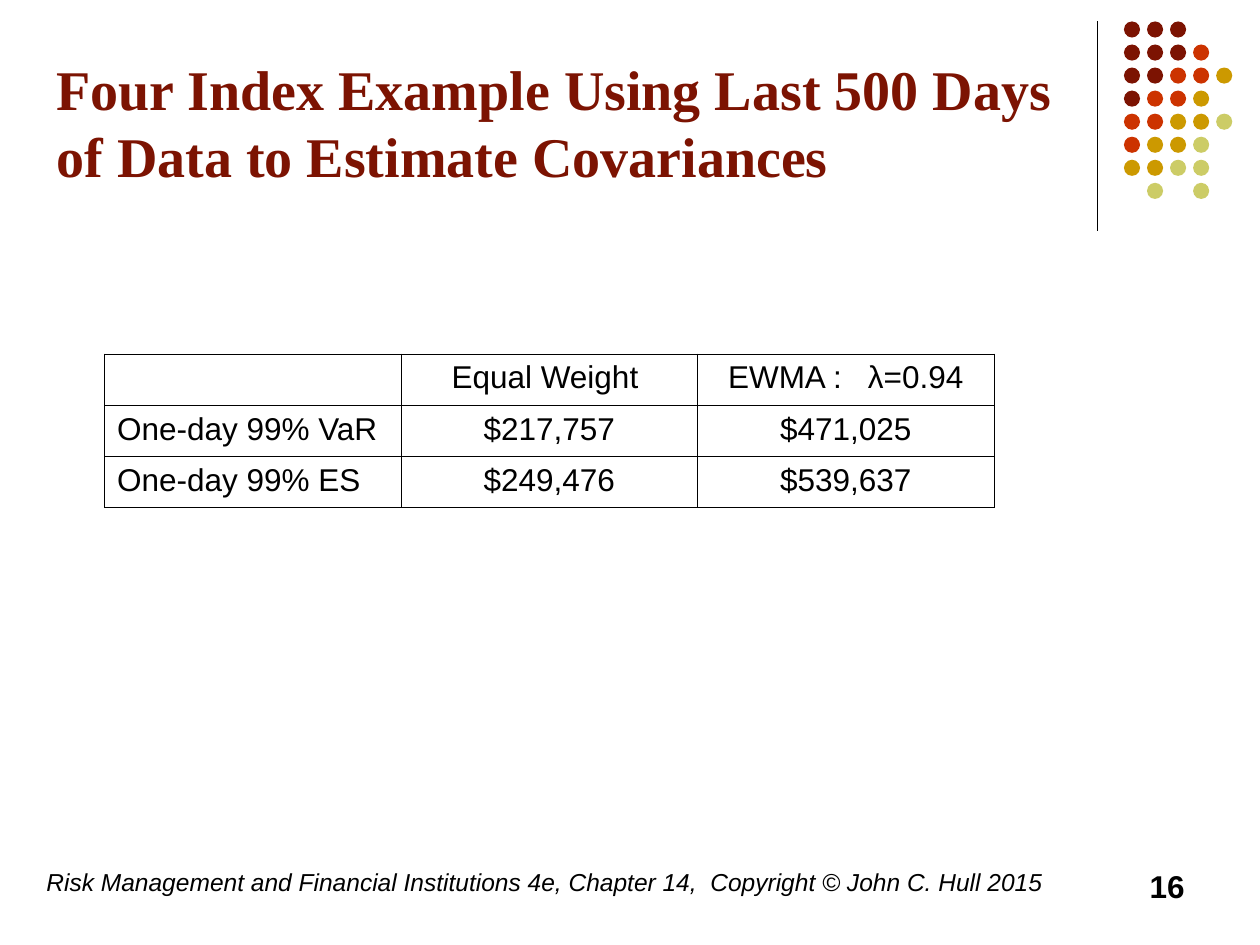
from dataclasses import dataclass

from lxml.etree import SubElement
from pptx import Presentation
from pptx.dml.color import RGBColor
from pptx.enum.shapes import MSO_CONNECTOR, MSO_SHAPE
from pptx.enum.text import MSO_ANCHOR, PP_ALIGN
from pptx.oxml.ns import qn
from pptx.slide import Slide
from pptx.table import _Cell
from pptx.util import Inches, Length, Pt

MAROON = RGBColor(0x7C, 0x13, 0x02)
RED = RGBColor(0xCC, 0x33, 0x00)
GOLD = RGBColor(0xCC, 0x99, 0x00)
OLIVE = RGBColor(0xCC, 0xCC, 0x66)
BLACK = RGBColor(0x00, 0x00, 0x00)

SLIDE_COLUMNS, SLIDE_ROWS = 100, 75
UNIT = Inches(0.1)

DOT_COLORS = {"M": MAROON, "R": RED, "G": GOLD, "O": OLIVE}
DOT_ROWS = ["MMM", "MMMR", "MMRRG", "MRRG", "RRGGO", "RGGO", "GGOO", " O O"]
DOT_LEFT, DOT_TOP, DOT_PITCH, DOT_SIZE = 89.2, 1.7, 1.83, 1.28

TABLE_ROWS = [
    ["", "Equal Weight ", "EWMA :   λ=0.94"],
    ["One-day 99% VaR", "$217,757", "$471,025"],
    ["One-day 99% ES", "$249,476", "$539,637"],
]
TABLE_FORMAT = {"name": "Arial", "size": Pt(18), "bold": False}


@dataclass(frozen=True)
class TextBlock:
    text: str
    column: float
    row: float
    columns: float
    rows: float
    font: dict
    color: RGBColor = BLACK
    alignment: PP_ALIGN = PP_ALIGN.LEFT
    anchor: MSO_ANCHOR = MSO_ANCHOR.TOP


TEXT_BLOCKS = [
    TextBlock(
        "Four Index Example Using Last 500 Days of Data to Estimate Covariances",
        3.5, 1.3, 82.7, 14.2,
        {"name": "Times New Roman", "size": Pt(32), "bold": True},
        color=MAROON,
        anchor=MSO_ANCHOR.BOTTOM,
    ),
    TextBlock(
        "Risk Management and Financial Institutions 4e, Chapter 14,  "
        "Copyright © John C. Hull 2015",
        2.7, 68.3, 82.7, 5,
        {"name": "Arial", "size": Pt(14), "italic": True},
    ),
    TextBlock(
        "16", 71.7, 68.3, 23.3, 5,
        {"name": "Arial", "size": Pt(18), "bold": True},
        alignment=PP_ALIGN.RIGHT,
    ),
]


def grid(count: float) -> Length:
    return Length(round(count * UNIT))


def format_font(font, values: dict, color: RGBColor) -> None:
    for name, value in values.items():
        setattr(font, name, value)
    font.color.rgb = color


def draw_divider(slide: Slide) -> None:
    connector = slide.shapes.add_connector(
        MSO_CONNECTOR.STRAIGHT, grid(87.1), grid(1.7), grid(87.1), grid(18.3)
    )
    connector.line.color.rgb = BLACK
    connector.line.width = Pt(0.75)
    SubElement(connector._element.spPr, qn("a:effectLst"))


def draw_dots(slide: Slide) -> None:
    group = slide.shapes.add_group_shape()
    for row, keys in enumerate(DOT_ROWS):
        for column, key in enumerate(keys):
            if key not in DOT_COLORS:
                continue
            dot = group.shapes.add_shape(
                MSO_SHAPE.OVAL,
                grid(DOT_LEFT + column * DOT_PITCH),
                grid(DOT_TOP + row * DOT_PITCH),
                grid(DOT_SIZE),
                grid(DOT_SIZE),
            )
            dot.shadow.inherit = False
            dot.fill.solid()
            dot.fill.fore_color.rgb = DOT_COLORS[key]
            dot.line.fill.background()


def draw_text(slide: Slide, block: TextBlock) -> None:
    shape = slide.shapes.add_textbox(
        grid(block.column), grid(block.row), grid(block.columns), grid(block.rows)
    )
    frame = shape.text_frame
    frame.word_wrap = True
    frame.vertical_anchor = block.anchor
    paragraph = frame.paragraphs[0]
    paragraph.text = block.text
    paragraph.alignment = block.alignment
    format_font(paragraph.font, block.font, block.color)


def draw_borders(cell: _Cell) -> None:
    properties = cell._tc.get_or_add_tcPr()
    for position, side in enumerate(("a:lnL", "a:lnR", "a:lnT", "a:lnB")):
        line = properties.makeelement(qn(side), {"w": str(Pt(0.45))})
        fill = SubElement(line, qn("a:solidFill"))
        SubElement(fill, qn("a:srgbClr"), val=str(BLACK))
        properties.insert(position, line)


def draw_table(slide: Slide) -> None:
    table = slide.shapes.add_table(
        len(TABLE_ROWS), len(TABLE_ROWS[0]),
        grid(8.3), grid(28.1), grid(70.6), grid(12.2),
    ).table
    table.first_row = False
    table.horz_banding = False
    for row, texts in enumerate(TABLE_ROWS):
        for column, text in enumerate(texts):
            cell = table.cell(row, column)
            cell.fill.background()
            draw_borders(cell)
            paragraph = cell.text_frame.paragraphs[0]
            paragraph.text = text
            paragraph.alignment = PP_ALIGN.CENTER if column else PP_ALIGN.LEFT
            format_font(paragraph.font, TABLE_FORMAT, BLACK)


def main() -> None:
    presentation = Presentation()
    presentation.slide_width = grid(SLIDE_COLUMNS)
    presentation.slide_height = grid(SLIDE_ROWS)
    slide = presentation.slides.add_slide(presentation.slide_layouts[6])
    draw_divider(slide)
    draw_dots(slide)
    for block in TEXT_BLOCKS:
        draw_text(slide, block)
    draw_table(slide)
    presentation.save("out.pptx")


if __name__ == "__main__":
    main()
